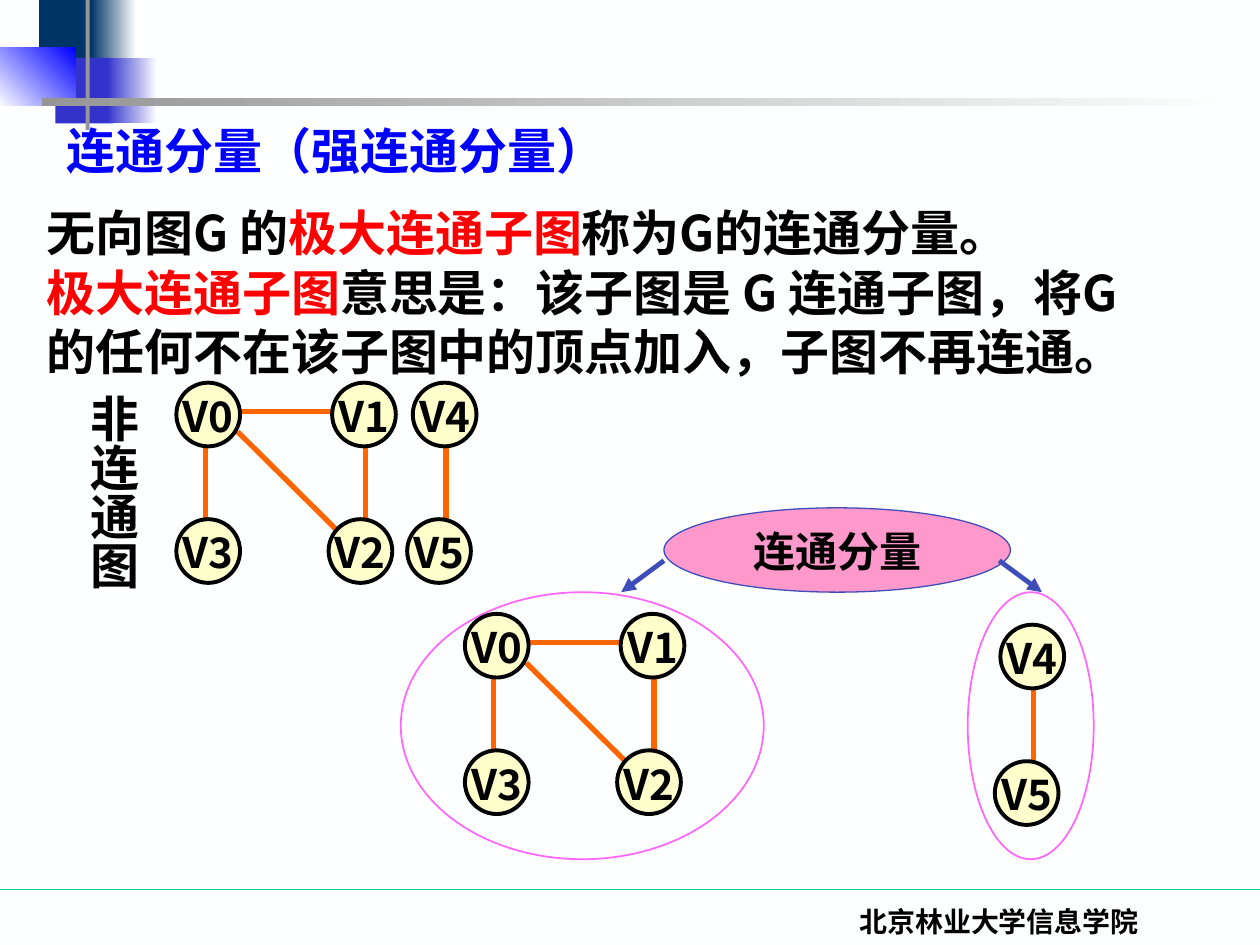
from lxml import etree
from pptx import Presentation
from pptx import util as u
from pptx.dml import color
from pptx.enum import shapes, text
from pptx.oxml import ns

Pt = u.Pt
CJK = "Noto Sans CJK SC"
BLACK, RED, ORANGE, INDIGO = "000000", "FF0000", "FF6600", "3E4DBA"
NODE = 36.4
DEFINITION = [
    ("无向图G 的", BLACK), ("极大连通子图", RED), ("称为G的连通分量。\v", BLACK),
    ("极大连通子图", RED),
    ("意思是：该子图是 G 连通子图，将G 的任何不在该子图中的顶点加入，子图不再连通。", BLACK),
]
LARGE_COMPONENT = {
    "edges": [(35, 28, 95, 87.5), (16.5, 35, 16.5, 82), (36, 16.5, 92, 16.5), (108, 35, 108, 82)],
    "nodes": {"V0": (0, 0), "V2": (87, 78), "V3": (0, 78), "V1": (89, 0)},
}
SMALL_COMPONENT = {
    "edges": [(19, 32.5, 19, 78.5)],
    "nodes": {"V5": (-3.2, 78), "V4": (0, 0)},
}


def rgb(value):
    """Return the colour for a hex string."""
    return color.RGBColor.from_string(value)


def place(item, left, top, width, height):
    """Move and size an item in points."""
    item.left, item.top, item.width, item.height = map(Pt, (left, top, width, height))


def format_paragraph(paragraph, size, spacing, tint=BLACK, latin=CJK, align=text.PP_ALIGN.LEFT):
    """Set spacing, alignment and the bold font of a paragraph."""
    paragraph.alignment = align
    paragraph.space_before = Pt(0)
    if spacing:
        paragraph.line_spacing = Pt(spacing)
    font = paragraph.font
    font.size, font.bold, font.name = Pt(size), True, latin
    font.color.rgb = rgb(tint)
    defaults = paragraph._p.pPr.find(ns.qn("a:defRPr"))
    etree.SubElement(defaults, ns.qn("a:ea"), typeface=CJK)


def fit_frame(frame, anchor=text.MSO_ANCHOR.TOP, inset=(7.2, 3.6), wrap=True):
    """Set the anchor, insets and wrapping of a text frame."""
    frame.auto_size = text.MSO_AUTO_SIZE.NONE
    frame.word_wrap = wrap
    frame.vertical_anchor = anchor
    frame.margin_left = frame.margin_right = Pt(inset[0])
    frame.margin_top = frame.margin_bottom = Pt(inset[1])


def add_figure(slide, kind, box, fill=None, line=None, width=1, angle=0):
    """Add a preset shape with no, plain or gradient fill."""
    figure = slide.shapes.add_shape(kind, *map(Pt, box))
    figure.shadow.inherit = False
    if fill is None:
        figure.fill.background()
    elif isinstance(fill, tuple):
        figure.fill.gradient()
        figure.fill.gradient_angle = angle
        for stop, tint in zip(figure.fill.gradient_stops, fill):
            stop.color.rgb = rgb(tint)
    else:
        figure.fill.solid()
        figure.fill.fore_color.rgb = rgb(fill)
    if line:
        figure.line.color.rgb = rgb(line)
        figure.line.width = Pt(width)
    else:
        figure.line.fill.background()
    return figure


def add_oval(slide, box, fill=None, line=BLACK, width=1, label=None):
    """Add an ellipse with an optional centred label."""
    oval = add_figure(slide, shapes.MSO_SHAPE.OVAL, box, fill, line, width)
    if label:
        fit_frame(oval.text_frame, text.MSO_ANCHOR.MIDDLE, (0, 0), False)
        oval.text_frame.text = label
        format_paragraph(oval.text_frame.paragraphs[0], 24, 30, align=text.PP_ALIGN.CENTER)


def add_line(slide, ends, tint, width, arrow=False):
    """Add a straight line, with an arrowhead if asked."""
    line = slide.shapes.add_connector(shapes.MSO_CONNECTOR.STRAIGHT, *map(Pt, ends))
    line.line.color.rgb = rgb(tint)
    line.line.width = Pt(width)
    properties = line.element.spPr
    if arrow:
        etree.SubElement(properties.find(ns.qn("a:ln")), ns.qn("a:tailEnd"), type="triangle")
    etree.SubElement(properties, ns.qn("a:effectLst"))


def add_caption(slide, caption, box, size, spacing, latin=CJK, vertical=False):
    """Add a centred text box, upright or in a column."""
    frame = slide.shapes.add_textbox(*map(Pt, box)).text_frame
    if vertical:
        fit_frame(frame, text.MSO_ANCHOR.MIDDLE, (3.6, 7.2))
        frame._txBody.bodyPr.set("vert", "eaVert")
    else:
        fit_frame(frame)
    frame.text = caption
    format_paragraph(frame.paragraphs[0], size, spacing, latin=latin, align=text.PP_ALIGN.CENTER)


def add_component(slide, component, left, top):
    """Draw the edges and vertices of a component from its first corner."""
    for x1, y1, x2, y2 in component["edges"]:
        add_line(slide, (left + x1, top + y1, left + x2, top + y2), ORANGE, 3)
    for name, (x, y) in component["nodes"].items():
        add_oval(slide, (left + x, top + y, NODE, NODE), "FFFFCC", BLACK, 2.25, name)


def add_decoration(slide):
    """Draw the corner blocks, the rules and the footer line."""
    paper = "FEFFFF"
    for box, fill, angle in [
        ((22.3, 0, 34.6, 37.4), "003366", 0),
        ((51.8, 0, 25.9, 37.4), ("003366", paper), 0),
        ((31.7, 33.1, 33.1, 37.4), "3333CC", 0),
        ((61.2, 33.1, 28.8, 37.4), ("3333CC", paper), 0),
        ((-0.7, 27.4, 43.9, 33.1), (paper, "0000FF"), 45),
        ((49, -8.6, 2.2, 82.8), "969696", 0),
        ((23.8, 56.2, 684.7, 4.3), ("969696", paper), 0),
    ]:
        add_figure(slide, shapes.MSO_SHAPE.RECTANGLE, box, fill, angle=angle)
    add_line(slide, (0, 508.3, 720, 508.3), "00CC99", 0.75)


def fill_title(title):
    """Write the heading in the title placeholder."""
    place(title, 31, 65, 432, 41)
    fit_frame(title.text_frame)
    title.text_frame.text = "连通分量（强连通分量）"
    format_paragraph(title.text_frame.paragraphs[0], 28, 34, "0000FF", "DejaVu Sans")


def fill_definition(body):
    """Write the definition in the body placeholder."""
    place(body, 19.4, 112, 648, 142)
    fit_frame(body.text_frame)
    definition = body.text_frame.paragraphs[0]
    properties = definition._p.get_or_add_pPr()
    properties.set("marL", "0")
    properties.set("indent", "0")
    etree.SubElement(properties, ns.qn("a:buNone"))
    format_paragraph(definition, 28, 34)
    for phrase, tint in DEFINITION:
        run = definition.add_run()
        run.text = phrase.rstrip("\v")
        run.font.color.rgb = rgb(tint)
        if phrase.endswith("\v"):
            definition.add_line_break()


def main():
    """Build the slide on connected components."""
    deck = Presentation()
    deck.slide_width, deck.slide_height = Pt(720), Pt(540)
    slide = deck.slides.add_slide(deck.slide_layouts[1])
    slide.background.fill.solid()
    slide.background.fill.fore_color.rgb = rgb("FEFFFF")
    title, body = slide.placeholders
    add_decoration(slide)
    for placeholder in (title, body):
        placeholder.element.getparent().append(placeholder.element)
    fill_title(title)
    fill_definition(body)
    add_caption(slide, "北京林业大学信息学院", (421.9, 512.5, 298, 27), 16, 20, "Times New Roman")
    add_caption(slide, "非连通图", (41, 218.2, 47.5, 150), 28, None, vertical=True)

    add_component(slide, LARGE_COMPONENT, 100.8, 218.7)
    add_component(slide, SMALL_COMPONENT, 235.9, 218.7)

    for ring in [(229, 338.4, 207.4, 152.6), (553, 338.4, 72, 152.6)]:
        add_oval(slide, ring, line="FF66FF")
    add_component(slide, LARGE_COMPONENT, 265.7, 350.8)
    add_component(slide, SMALL_COMPONENT, 571.7, 357)

    add_oval(slide, (379.4, 290.2, 198, 48.2), "FF99CC", INDIGO, 0.75, "连通分量")
    for start, end in [(379.4, 355), (571, 595.4)]:
        add_line(slide, (start, 320.4, end, 338.4), INDIGO, 2.75, True)
    deck.save("out.pptx")


if __name__ == "__main__":
    main()
